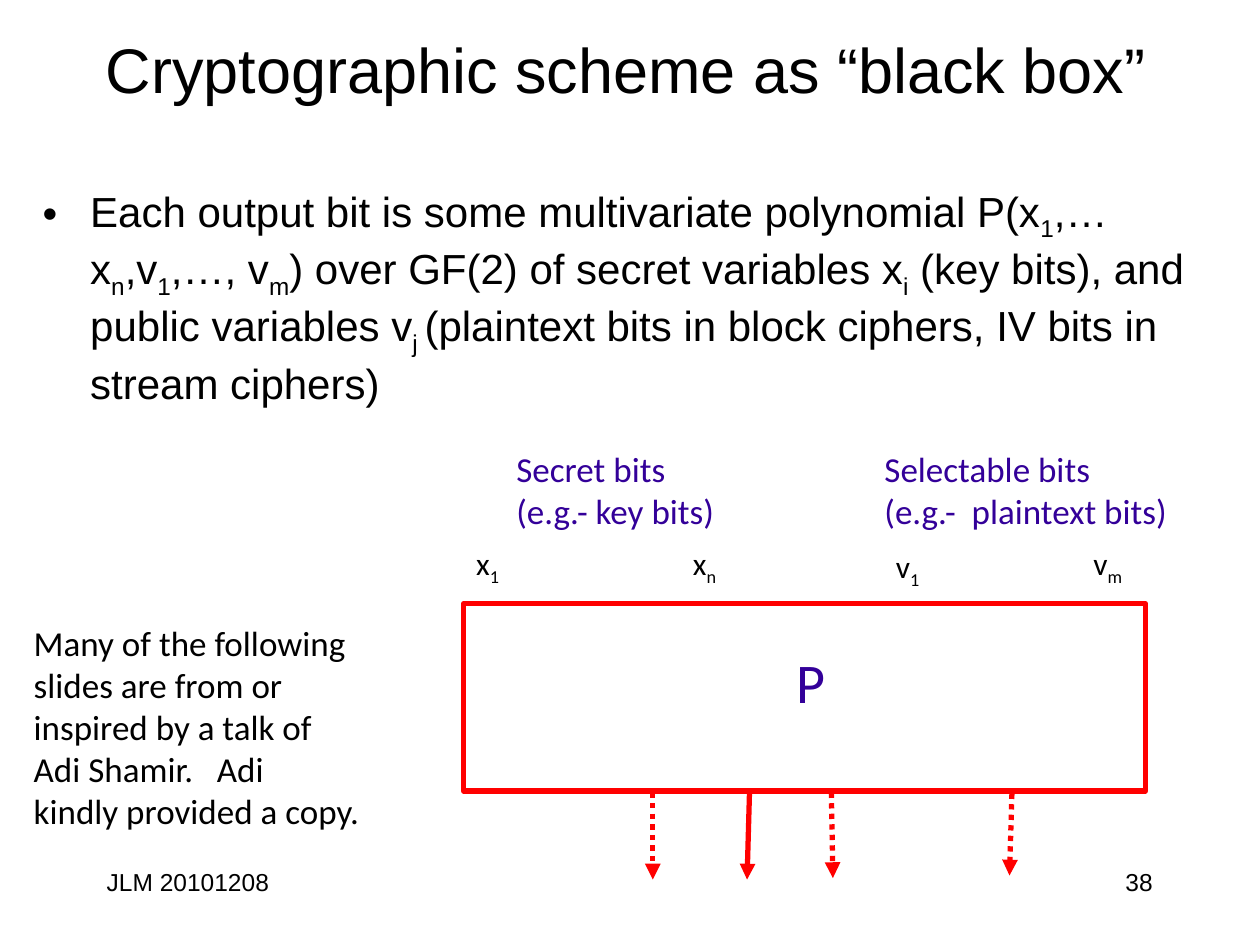
from lxml import etree
from pptx import Presentation
from pptx.dml.color import RGBColor
from pptx.enum.dml import MSO_LINE_DASH_STYLE as Dash
from pptx.enum.shapes import MSO_CONNECTOR as Connector, MSO_SHAPE as Shape
from pptx.enum.text import MSO_ANCHOR as Anchor, MSO_AUTO_SIZE as AutoSize, PP_ALIGN as Align
from pptx.oxml.ns import qn
from pptx.util import Cm, Pt

COLORS = {"text": "000000", "accent": "330099", "box": "FF0000"}


def rgb(name):
    return RGBColor.from_string(COLORS[name])


def write(frame, lines, size, font, color="text", align=Align.LEFT):
    """Fill the frame with one paragraph per line; pieces between bars are subscripts."""
    for index, line in enumerate(lines):
        paragraph = frame.add_paragraph() if index else frame.paragraphs[0]
        paragraph.alignment = align
        for position, piece in enumerate(line.split("|")):
            if not piece:
                continue
            run = paragraph.add_run()
            run.text = piece
            run.font.size = Pt(size)
            run.font.name = font
            run.font.color.rgb = rgb(color)
            if position % 2:
                run.font._element.set("baseline", "-25000")


def add_text(slide, box, lines, size, font, color="text", align=Align.LEFT, wrap=True):
    frame = slide.shapes.add_textbox(*map(Cm, box)).text_frame
    frame.word_wrap = wrap
    frame.auto_size = AutoSize.NONE if wrap else AutoSize.SHAPE_TO_FIT_TEXT
    write(frame, lines, size, font, color, align)
    return frame


def add_title(slide, box, text):
    title = slide.shapes.title
    title.left, title.top, title.width, title.height = map(Cm, box)
    frame = title.text_frame
    frame.vertical_anchor = Anchor.MIDDLE
    frame.auto_size = AutoSize.NONE
    write(frame, [text], 36, "Arial", align=Align.CENTER)


def add_definition(slide, box):
    text = (
        "Each output bit is some multivariate polynomial P(x|1|,…x|n|,v|1|,…, v|m|) "
        "over GF(2) of secret variables x|i| (key bits), and public variables v|j |"
        "(plaintext bits in block ciphers, IV bits in stream ciphers)"
    )
    frame = add_text(slide, box, [text], 24, "Arial")
    properties = frame.paragraphs[0]._p.get_or_add_pPr()
    indent = Cm(0.96)
    properties.set("marL", str(indent))
    properties.set("indent", str(-indent))
    etree.SubElement(properties, qn("a:buFont")).set("typeface", "Arial")
    etree.SubElement(properties, qn("a:buChar")).set("char", "•")


def add_output_arrow(slide, start, end, dotted):
    arrow = slide.shapes.add_connector(Connector.STRAIGHT, *map(Cm, start + end))
    arrow.line.color.rgb = rgb("box")
    arrow.line.width = Pt(3)
    if dotted:
        arrow.line.dash_style = Dash.ROUND_DOT
    head = etree.SubElement(arrow.line._get_or_add_ln(), qn("a:tailEnd"))
    head.set("type", "triangle")
    etree.SubElement(arrow._element.spPr, qn("a:effectLst"))


def add_black_box(slide, box):
    """Draw the box P with its input labels above and output arrows below."""
    left, top, width, height = box
    box_top, box_height = 3.28, 3.78

    outline = slide.shapes.add_shape(
        Shape.RECTANGLE, Cm(left), Cm(top + box_top), Cm(width), Cm(box_height)
    )
    outline.shadow.inherit = False
    outline.fill.background()
    outline.line.color.rgb = rgb("box")
    outline.line.width = Pt(3)

    labels = [
        (0.81, 0, 4.57, 1.96, ["Secret bits", "(e.g.- key bits)"], 20, "accent"),
        (8.23, 0, 6.3, 1.96, ["Selectable bits", "(e.g.-  plaintext bits)"], 20, "accent"),
        (0, 1.96, 1.02, 1.02, ["x|1|"], 18, "text"),
        (4.37, 1.96, 1.02, 1.02, ["x|n|"], 18, "text"),
        (8.46, 2.01, 1.02, 1.02, ["v|1|"], 18, "text"),
        (12.44, 1.96, 1.14, 1.02, ["v|m|"], 18, "text"),
        (6.45, 4.04, 1.09, 1.63, ["P"], 32, "accent"),
    ]
    for x, y, label_width, label_height, lines, size, color in labels:
        place = (left + x, top + y, label_width, label_height)
        add_text(slide, place, lines, size, "Calibri", color, wrap=False)

    outputs = [
        (3.81, 7.09, 3.81, height, True),
        (5.76, 7.04, 5.71, height, False),
        (7.41, 7.09, 7.44, 8.81, True),
        (11.05, 7.11, 11, 8.76, True),
    ]
    for x1, y1, x2, y2, dotted in outputs:
        add_output_arrow(slide, (left + x1, top + y1), (left + x2, top + y2), dotted)


def add_credit(slide, box):
    lines = [
        "Many of the following",
        "slides are from or",
        "inspired by a talk of",
        "Adi Shamir.   Adi",
        "kindly provided a copy.",
    ]
    add_text(slide, box, lines, 20, "Calibri")


def add_footer(slide, box):
    left, top, width, height = box
    part = 5.28
    add_text(slide, (left, top, part, height), ["JLM 20101208"], 14, "Arial")
    number_place = (left + width - part, top, part, height)
    add_text(slide, number_place, ["38"], 14, "Arial", align=Align.RIGHT)


def main():
    deck = Presentation()
    deck.slide_width, deck.slide_height = Cm(25.4), Cm(19.05)
    slide = deck.slides.add_slide(deck.slide_layouts.get_by_name("Title Only"))
    add_title(slide, (0.81, 0.2, 23.6, 2.34), "Cryptographic scheme as “black box”")
    add_definition(slide, (0.61, 3.61, 24.26, 4.65))
    add_black_box(slide, (9.35, 8.89, 13.74, 8.84))
    add_credit(slide, (0.43, 12.4, 7.54, 4.52))
    add_footer(slide, (1.9, 17.35, 21.59, 1.27))
    deck.save("out.pptx")


if __name__ == "__main__":
    main()
